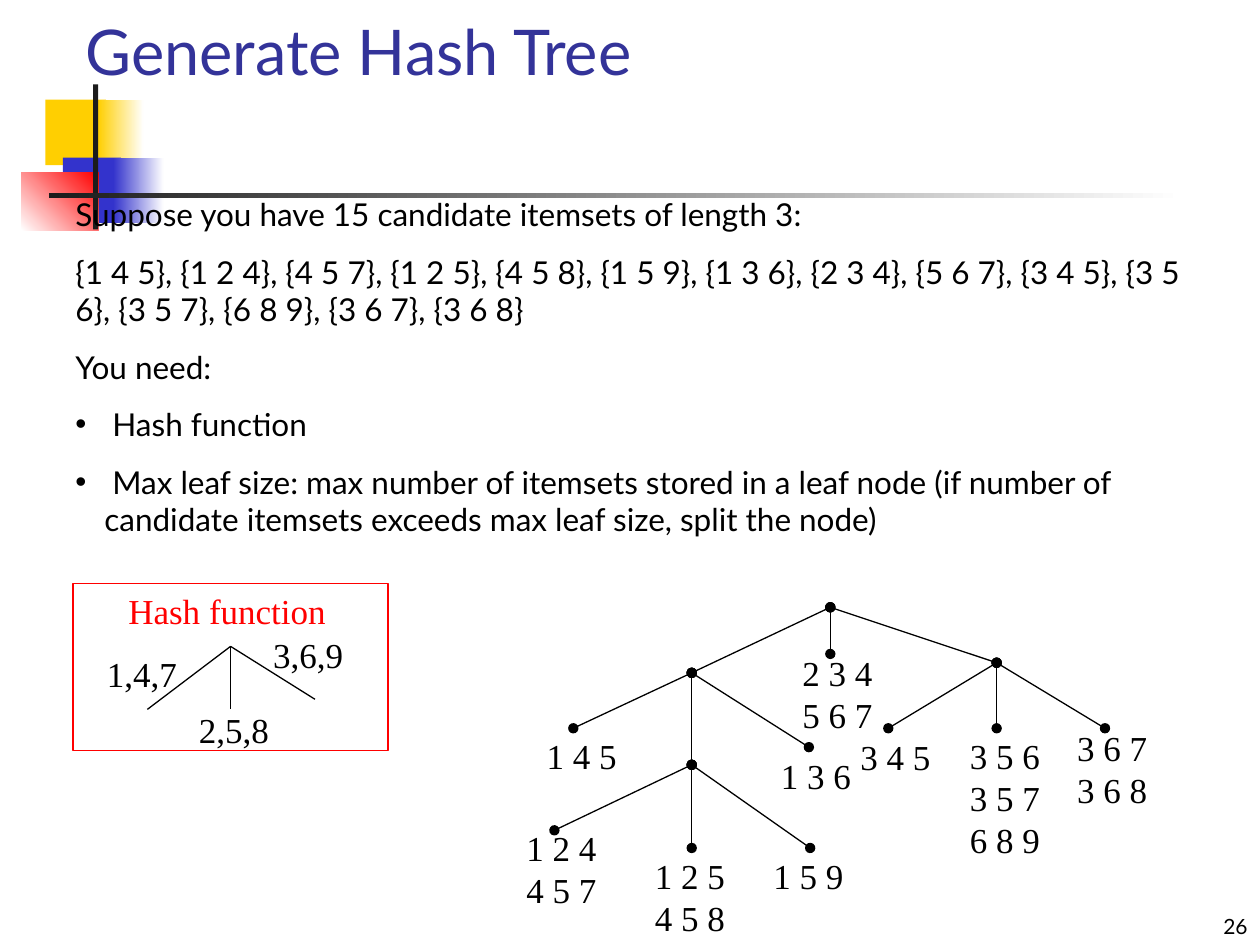
from lxml import etree
from pptx import Presentation
from pptx.dml.color import RGBColor
from pptx.enum.shapes import MSO_CONNECTOR, MSO_SHAPE
from pptx.enum.text import MSO_ANCHOR, MSO_AUTO_SIZE, PP_ALIGN
from pptx.oxml.ns import qn
from pptx.util import Pt

PX = 9144
RECT = MSO_SHAPE.RECTANGLE
LINE = MSO_CONNECTOR.STRAIGHT
GROW = MSO_AUTO_SIZE.SHAPE_TO_FIT_TEXT
TOP, BOTTOM = MSO_ANCHOR.TOP, MSO_ANCHOR.BOTTOM
LEFT, RIGHT = PP_ALIGN.LEFT, PP_ALIGN.RIGHT

COLORS = {
    "gold": "FFCF01", "blue": "3333CC", "red": "FF0000", "dark": "1C1C1C",
    "white": "FFFFFF", "black": "000000", "title": "333399",
}

TITLE = {"size": 36, "font": "Lato", "color": "title",
         "frame": {"word_wrap": True, "vertical_anchor": BOTTOM}}
BODY = {"size": 18, "font": "Lato", "color": "black", "gap": 11.2,
        "frame": {"word_wrap": True, "vertical_anchor": TOP, "auto_size": GROW}}
LABEL = {"size": 20, "font": "Times New Roman", "color": "black",
         "frame": {"word_wrap": False, "vertical_anchor": TOP, "auto_size": GROW}}
HEAD = {**LABEL, "color": "red"}
NUMBER = {"size": 12, "font": "Lato", "color": "black", "align": RIGHT,
          "frame": {"word_wrap": True, "vertical_anchor": BOTTOM}}

DECOR = [
    ((36, 79, 48, 52), ["gold"], 0),
    ((78, 79, 36, 52), ["gold", "white"], 0),
    ((50, 125, 46, 52), ["blue"], 0),
    ((90, 125, 40, 52), ["blue", "white"], 0),
    ((17, 137, 61, 46), ["white", "red"], 45),
    ((74, 67, 4, 115), ["dark"], 0),
    ((39, 153, 900, 4), ["dark", "white"], 0),
]

INTRO = [
    "Suppose you have 15 candidate itemsets of length 3:",
    "{1 4 5}, {1 2 4}, {4 5 7}, {1 2 5}, {4 5 8}, {1 5 9}, {1 3 6}, {2 3 4}, "
    "{5 6 7}, {3 4 5}, {3 5 6}, {3 5 7}, {6 8 9}, {3 6 7}, {3 6 8}",
    "You need:",
]
NEEDS = [
    " Hash function",
    " Max leaf size: max number of itemsets stored in a leaf node "
    "(if number of candidate itemsets exceeds max leaf size, split the node)",
]

ROOT, WEST, EAST, DEEP = (659, 482), (549, 534), (791, 526), (549, 607)
FORKS = [(ROOT, WEST), (ROOT, EAST), (WEST, DEEP)]
LEAVES = [
    (ROOT, (659, 519), (627, 512), ["2 3 4", "5 6 7"]),
    (WEST, (455, 578), (424, 578), ["1 4 5"]),
    (WEST, (642, 593), (610, 594), ["1 3 6"]),
    (DEEP, (440, 659), (408, 651), ["1 2 4", "4 5 7"]),
    (DEEP, (549, 673), (510, 673), ["1 2 5", "4 5 8"]),
    (DEEP, (643, 673), (604, 673), ["1 5 9"]),
    (EAST, (705, 578), (673, 579), ["3 4 5"]),
    (EAST, (791, 578), (760, 578), ["3 5 6", "3 5 7", "6 8 9"]),
    (EAST, (877, 578), (845, 572), ["3 6 7", "3 6 8"]),
]

APEX = (183, 513)
HASHES = [
    ((117, 563), (75, 513), "1,4,7"),
    ((183, 563), (148, 557), "2,5,8"),
    ((250, 555), (207, 498), "3,6,9"),
]


def scale(vals):
    return [v * PX for v in vals]


def tint(name):
    return RGBColor.from_string(COLORS[name])


def add_rect(slide, box, names=(), angle=0, edge=None):
    shape = slide.shapes.add_shape(RECT, *scale(box))
    shape.shadow.inherit = False
    fill = shape.fill
    if len(names) == 2:
        fill.gradient()
        fill.gradient_angle = angle
        for stop, name in zip(fill.gradient_stops, names):
            stop.color.rgb = tint(name)
    elif names:
        fill.solid()
        fill.fore_color.rgb = tint(names[0])
    else:
        fill.background()
    if edge:
        shape.line.color.rgb = tint(edge)
        shape.line.width = Pt(0.75)
    else:
        shape.line.fill.background()


def add_line(slide, start, end, dots=False):
    link = slide.shapes.add_connector(LINE, *scale(start + end))
    link.line.color.rgb = tint("black")
    link.line.width = Pt(0.75)
    if dots:
        edge = link.line._get_or_add_ln()
        for tag in ("a:headEnd", "a:tailEnd"):
            etree.SubElement(edge, qn(tag), type="oval")
    etree.SubElement(link._element.spPr, qn("a:effectLst"))


def add_bullet(para):
    props = para._p.get_or_add_pPr()
    props.set("marL", str(23 * PX))
    props.set("indent", str(-23 * PX))
    etree.SubElement(props, qn("a:buFont"), typeface="Arial")
    etree.SubElement(props, qn("a:buChar"), char="•")


def add_text(slide, box, lines, style, points=()):
    frame = slide.shapes.add_textbox(*scale(box)).text_frame
    for key, val in style["frame"].items():
        setattr(frame, key, val)
    for i, line in enumerate([*lines, *points]):
        para = frame.add_paragraph() if i else frame.paragraphs[0]
        if i >= len(lines):
            add_bullet(para)
        para.alignment = style.get("align", LEFT)
        if i and "gap" in style:
            para.space_before = Pt(style["gap"])
        run = para.add_run()
        run.text = line
        font = run.font
        for key, val in {"size": Pt(style["size"]), "name": style["font"]}.items():
            setattr(font, key, val)
        font.color.rgb = tint(style["color"])


def add_label(slide, spot, lines):
    add_text(slide, (*spot, 77, 11 + 33 * len(lines)), lines, LABEL)


def add_tree(slide):
    for start, end in FORKS:
        add_line(slide, start, end, dots=True)
    for start, end, spot, lines in LEAVES:
        add_line(slide, start, end, dots=True)
        add_label(slide, spot, lines)


def add_hash(slide):
    for end, spot, line in HASHES:
        add_line(slide, APEX, end)
        add_label(slide, spot, [line])
    add_text(slide, (92, 463, 177, 44), ["Hash function"], HEAD)
    add_rect(slide, (58, 463, 250, 133), edge="red")


def main():
    deck = Presentation()
    deck.slide_width, deck.slide_height = scale((1000, 750))
    slide = deck.slides.add_slide(deck.slide_layouts[6])
    for box, names, angle in DECOR:
        add_rect(slide, box, names, angle)
    add_text(slide, (58, 0, 906, 75), ["Generate Hash Tree"], TITLE)
    add_tree(slide)
    add_hash(slide)
    add_text(slide, (50, 150, 908, 283), INTRO, BODY, NEEDS)
    add_text(slide, (792, 708, 208, 42), ["26"], NUMBER)
    deck.save("out.pptx")


if __name__ == "__main__":
    main()
